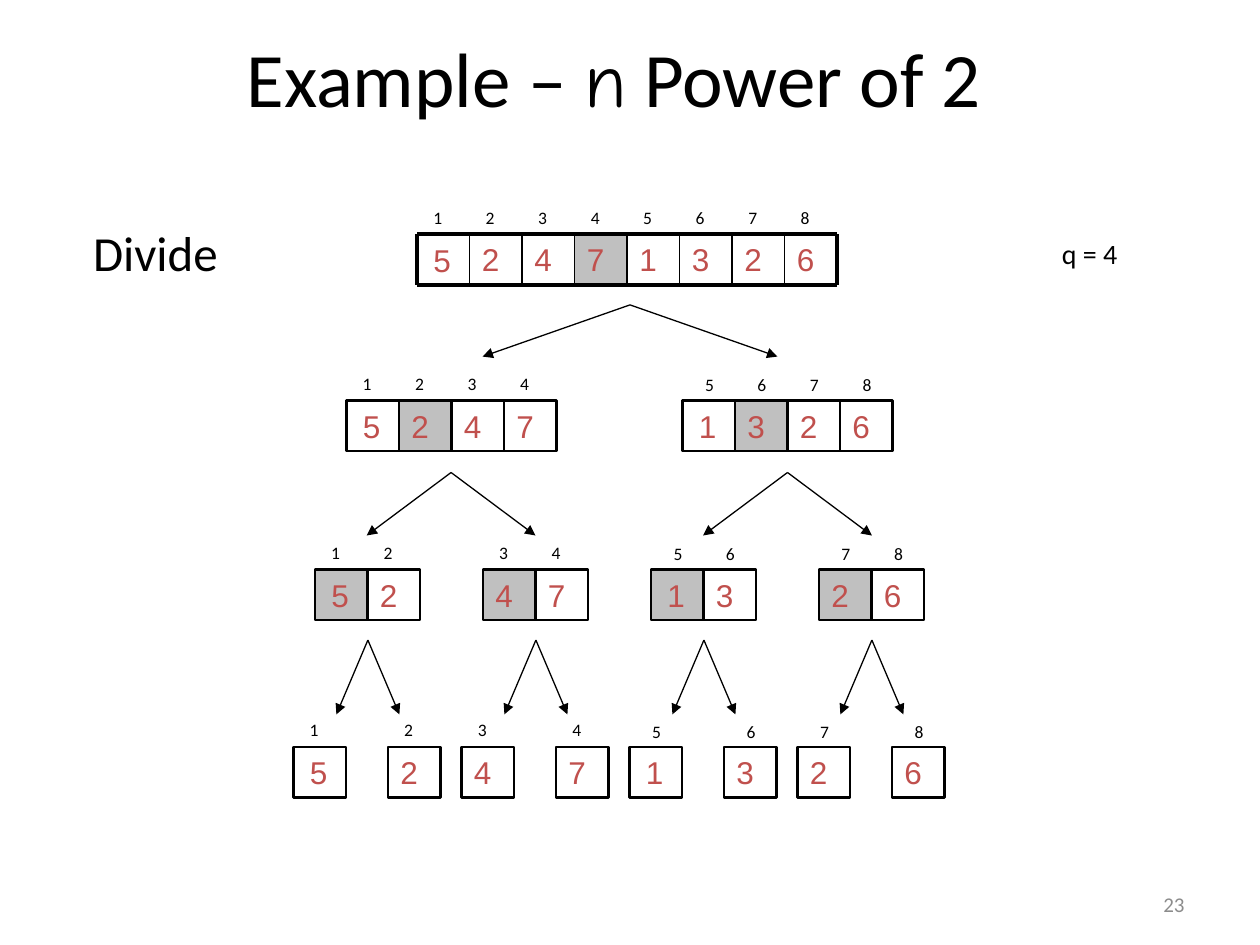
from lxml import etree
from pptx import Presentation
from pptx.dml.color import RGBColor
from pptx.enum.shapes import MSO_CONNECTOR, MSO_SHAPE
from pptx.enum.text import MSO_ANCHOR, PP_ALIGN
from pptx.oxml.ns import qn
from pptx.util import Inches, Pt

RECT, LINE = MSO_SHAPE.RECTANGLE, MSO_CONNECTOR.STRAIGHT
TOP, MIDDLE = MSO_ANCHOR.TOP, MSO_ANCHOR.MIDDLE
LEFT, CENTER, RIGHT = PP_ALIGN.LEFT, PP_ALIGN.CENTER, PP_ALIGN.RIGHT

COLORS = {"black": "000000", "digit": "C0504D", "mid": "C0C0C0", "page": "8C8C8C"}
TITLE = [("Example – ", "Calibri"), ("n", "Comic Neue"), (" Power of 2", "Calibri")]
DIGITS = [5, 2, 4, 7, 1, 3, 2, 6]
CELL, TALL = 5 / 12, 0.4
STEP = 4 / 3
LEVELS = [
    {"top": 1.86, "lefts": [3.31]},
    {"top": 3.18, "lefts": [2.75, 2.75 + 2 * STEP],
     "forks": [5], "apex": 2.42, "tip": 2.83, "spread": 1.17},
    {"top": 4.52, "lefts": [2.5 + STEP * i for i in range(4)],
     "forks": [3.58, 6.25], "apex": 3.75, "tip": 4.25, "spread": 0.67},
    {"top": 5.93, "lefts": [2.33 + STEP * i + gap for i in range(4) for gap in (0, 0.75)],
     "forks": [2.92 + STEP * i for i in range(4)], "apex": 5.08, "tip": 5.67, "spread": 0.25},
]


def color(name):
    return RGBColor.from_string(COLORS[name])


def write(shape, text, size, ink="black", font="Calibri", align=LEFT, anchor=TOP):
    frame = shape.text_frame
    frame.word_wrap = True
    frame.vertical_anchor = anchor
    para = frame.paragraphs[0]
    para.text = text
    para.alignment = align
    style(para.runs[0], size, ink, font)
    return frame


def style(run, size, ink, font):
    run.font.size = Pt(size)
    run.font.name = font
    run.font.color.rgb = color(ink)


def text_box(shapes, box, text, size, **look):
    shape = shapes.add_textbox(*map(Inches, box))
    return write(shape, text, size, **look)


def add_cell(shapes, x, y, digit, marked, edged, lead):
    box = [Inches(v) for v in (x, y, CELL, TALL)]
    if marked or edged:
        shape = shapes.add_shape(RECT, *box)
        shape.shadow.inherit = False
    else:
        shape = shapes.add_textbox(*box)
    if marked:
        shape.fill.solid()
        shape.fill.fore_color.rgb = color("mid")
    else:
        shape.fill.background()
    if edged:
        shape.line.color.rgb = color("black")
        shape.line.width = Pt(1.5)
    else:
        shape.line.fill.background()
    frame = write(shape, str(digit), 18, ink="digit", font="Arial",
                  anchor=MIDDLE if lead else TOP)
    if lead:
        frame.margin_left = Inches(0.13)


def add_line(shapes, start, end, width, arrow=False):
    line = shapes.add_connector(LINE, *map(Inches, start + end))
    line.line.color.rgb = color("black")
    line.line.width = Pt(width)
    if arrow:
        etree.SubElement(line.line._get_or_add_ln(), qn("a:tailEnd"), type="triangle")
    etree.SubElement(line._element.spPr, qn("a:effectLst"))


def add_level(shapes, level):
    top, lefts = level["top"], level["lefts"]
    root = len(lefts) == 1
    size = len(DIGITS) // len(lefts)
    for part, left in enumerate(lefts):
        first = part * size + 1
        mid = first + (size - 1) // 2
        for i in range(size):
            num = first + i
            x = left + i * CELL
            late = num > 4 and not root
            tag = (x + (0.08 if late else 0.03), top - (0.26 if late else 0.27), 0.25, 0.27)
            text_box(shapes, tag, str(num), 10)
            lead = num == 1 or (num == 5 and not root)
            add_cell(shapes, x, top, DIGITS[num - 1], size > 1 and num == mid, not root, lead)
    for x in level.get("forks", []):
        for side in (-1, 1):
            end = (x + side * level["spread"], level["tip"])
            add_line(shapes, (x, level["apex"]), end, 0.75, arrow=True)


def add_grid(shapes, level):
    left, top = level["lefts"][0], level["top"]
    count = len(DIGITS)
    for y in (top, top + TALL):
        add_line(shapes, (left, y), (left + count * CELL, y), 2.25)
    for i in range(count + 1):
        x = left + i * CELL
        add_line(shapes, (x, top), (x, top + TALL), 2.25 if i in (0, count) else 1)


def main():
    deck = Presentation()
    deck.slide_width, deck.slide_height = Inches(10), Inches(7.5)
    shapes = deck.slides.add_slide(deck.slide_layouts[6]).shapes
    text_box(shapes, (7.17, 7, 2.33, 0.35), "23", 12, ink="page", align=RIGHT, anchor=MIDDLE)
    head, *rest = TITLE
    frame = text_box(shapes, (0.37, 0.11, 9, 0.99), head[0], 44, align=CENTER, anchor=MIDDLE)
    for text, font in rest:
        run = frame.paragraphs[0].add_run()
        run.text = text
        style(run, 44, "black", font)
    for level in LEVELS:
        group = shapes.add_group_shape().shapes
        add_level(group, level)
        if level is LEVELS[0]:
            add_grid(group, level)
            text_box(group, (8.33, 1.83, 1.08, 0.37), "q = 4", 16)
    text_box(shapes, (0.64, 1.72, 1.2, 0.57), "Divide", 28).word_wrap = False
    deck.save("out.pptx")


if __name__ == "__main__":
    main()
